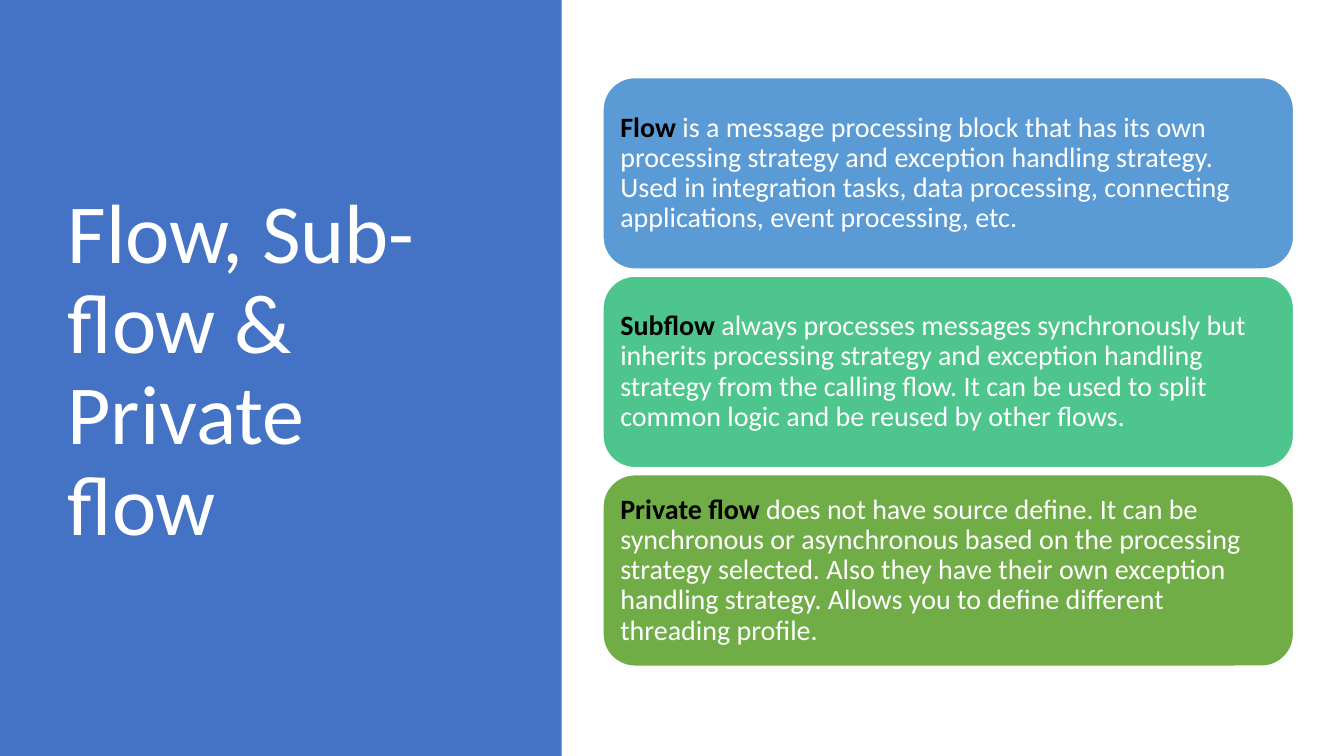
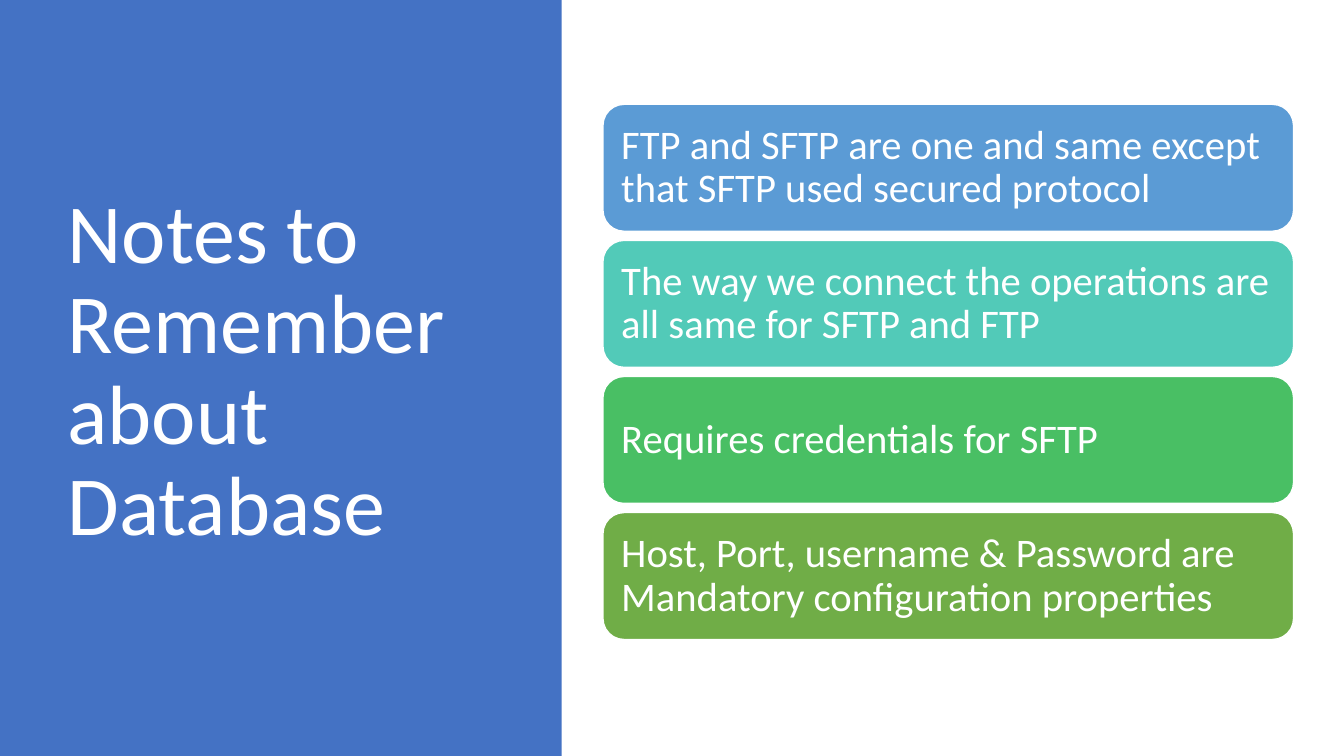
from dataclasses import dataclass

from pptx import Presentation
from pptx.dml.color import RGBColor
from pptx.enum.shapes import MSO_SHAPE
from pptx.enum.text import MSO_ANCHOR, MSO_AUTO_SIZE, PP_ALIGN
from pptx.util import Inches, Pt

RECT, ROUND = MSO_SHAPE.RECTANGLE, MSO_SHAPE.ROUNDED_RECTANGLE
MIDDLE, LEFT, NO_FIT = MSO_ANCHOR.MIDDLE, PP_ALIGN.LEFT, MSO_AUTO_SIZE.NONE
TITLE_ONLY = 5


@dataclass(frozen=True)
class Theme:
    font: str = "Calibri"
    title: int = 60
    spacing: float = 0.9
    band: str = "4472C4"
    light: str = "FFFFFF"
    dark: str = "000000"
    blue: str = "5B9BD5"
    mint: str = "4DC58D"
    teal: str = "52CAB8"
    green: str = "49BF64"
    olive: str = "70AD47"


@dataclass(frozen=True)
class Stack:
    """Sizes of a column of cards; lengths in inches, type in points."""
    height: float
    gap: float
    inset: float
    size: int
    left: float = 5.98
    width: float = 6.85
    centre: float = 3.69


THEME = Theme()
TALL = Stack(height=1.9, gap=0.07, inset=0.08, size=20)
SHORT = Stack(height=1.26, gap=0.09, inset=0.12, size=29)

FLOWS = [
    (THEME.blue, "Flow",
     " is a message processing block that has its own processing strategy "
     "and exception handling strategy. Used in integration tasks, data "
     "processing, connecting applications, event processing, etc."),
    (THEME.mint, "Subflow",
     " always processes messages synchronously but inherits processing "
     "strategy and exception handling strategy from the calling flow. It can "
     "be used to split common logic and be reused by other flows."),
    (THEME.olive, "Private flow",
     " does not have source define. It can be synchronous or asynchronous "
     "based on the processing strategy selected. Also they have their own "
     "exception handling strategy. Allows you to define different threading "
     "profile."),
]
NOTES = [
    (THEME.blue, "",
     "FTP and SFTP are one and same except that SFTP used secured protocol"),
    (THEME.teal, "",
     "The way we connect the operations are all same for SFTP and FTP"),
    (THEME.green, "", "Requires credentials for SFTP"),
    (THEME.olive, "",
     "Host, Port, username & Password are Mandatory configuration properties"),
]


def rgb(code):
    return RGBColor.from_string(code)


def style(para, size):
    para.alignment = LEFT
    para.line_spacing = THEME.spacing
    para.font.name = THEME.font
    para.font.size = Pt(size)
    para.font.color.rgb = rgb(THEME.light)


def add_box(slide, kind, place, fill):
    box = slide.shapes.add_shape(kind, *map(Inches, place))
    box.shadow.inherit = False
    box.fill.solid()
    box.fill.fore_color.rgb = rgb(fill)
    box.line.fill.background()
    return box


def add_slide(deck, text):
    """Add a slide with the side band and its title."""
    slide = deck.slides.add_slide(deck.slide_layouts[TITLE_ONLY])
    title = slide.shapes.title
    band = add_box(slide, RECT, (0, 0, 5.57, 7.5), THEME.band)
    title.element.addprevious(band.element)
    title.left, title.top = Inches(0.57), Inches(0.68)
    title.width, title.height = Inches(4.16), Inches(6.02)
    frame = title.text_frame
    frame.text = text
    frame.word_wrap = True
    frame.auto_size = NO_FIT
    frame.vertical_anchor = MIDDLE
    style(frame.paragraphs[0], THEME.title)
    return slide


def add_card(slide, stack, top, fill, term, text):
    place = (stack.left, top, stack.width, stack.height)
    card = add_box(slide, ROUND, place, fill)
    card.line.color.rgb = rgb(THEME.light)
    card.line.width = Pt(1)
    frame = card.text_frame
    frame.word_wrap = True
    frame.vertical_anchor = MIDDLE
    frame.margin_left = frame.margin_right = Inches(stack.inset)
    frame.margin_top = frame.margin_bottom = Inches(stack.inset)
    para = frame.paragraphs[0]
    style(para, stack.size)
    if term:
        lead = para.add_run()
        lead.text = term
        lead.font.bold = True
        lead.font.color.rgb = rgb(THEME.dark)
    para.add_run().text = text


def add_stack(slide, stack, cards):
    """Spread the cards evenly around the centre of the column."""
    pitch = stack.height + stack.gap
    first = stack.centre - (len(cards) * pitch - stack.gap) / 2
    for row, card in enumerate(cards):
        add_card(slide, stack, first + row * pitch, *card)


def main():
    deck = Presentation()
    deck.slide_width, deck.slide_height = Inches(13.33), Inches(7.5)
    add_stack(add_slide(deck, "Flow, Sub-flow & Private flow"), TALL, FLOWS)
    add_stack(add_slide(deck, "Notes to Remember about Database"), SHORT, NOTES)
    deck.save("out.pptx")


if __name__ == "__main__":
    main()
